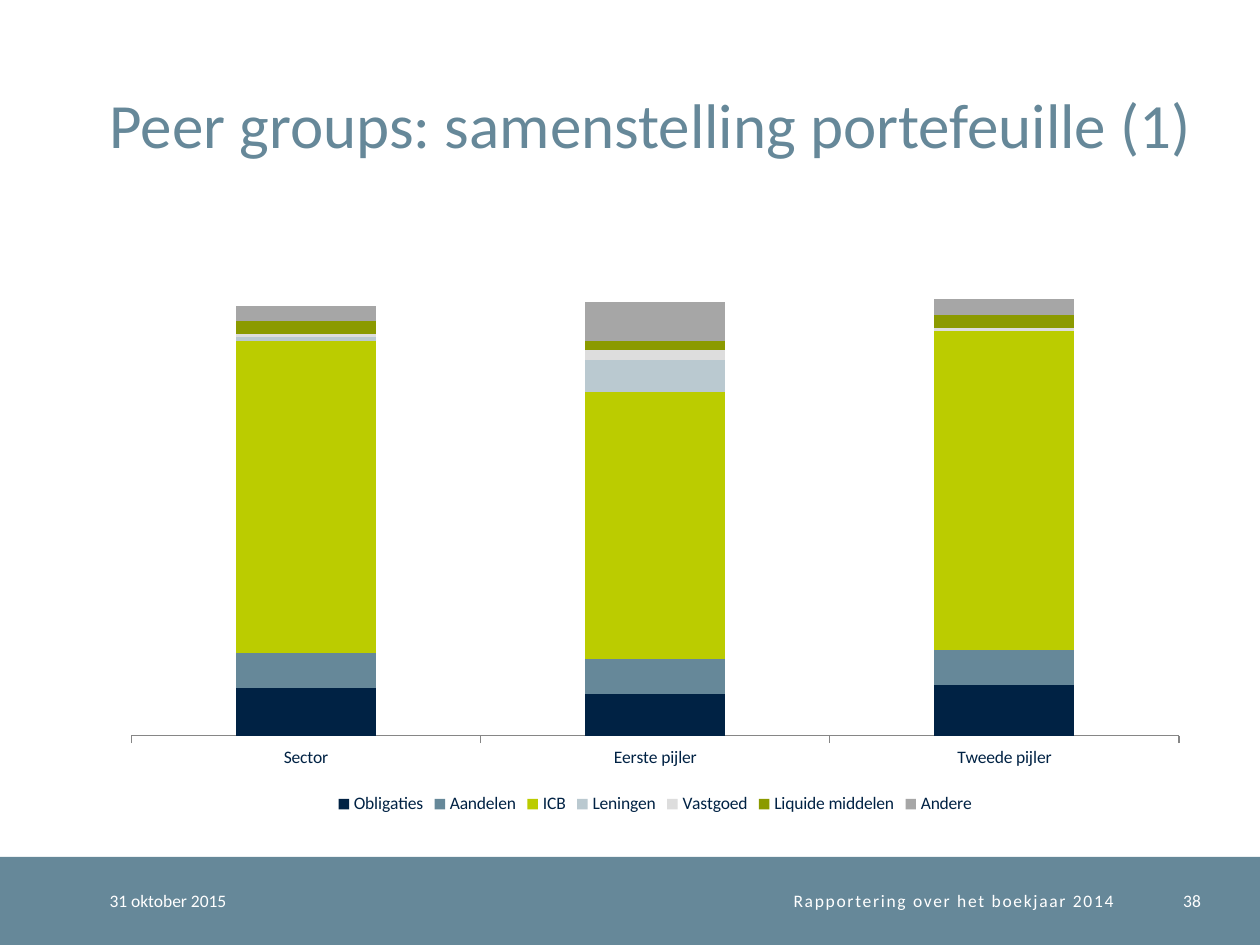
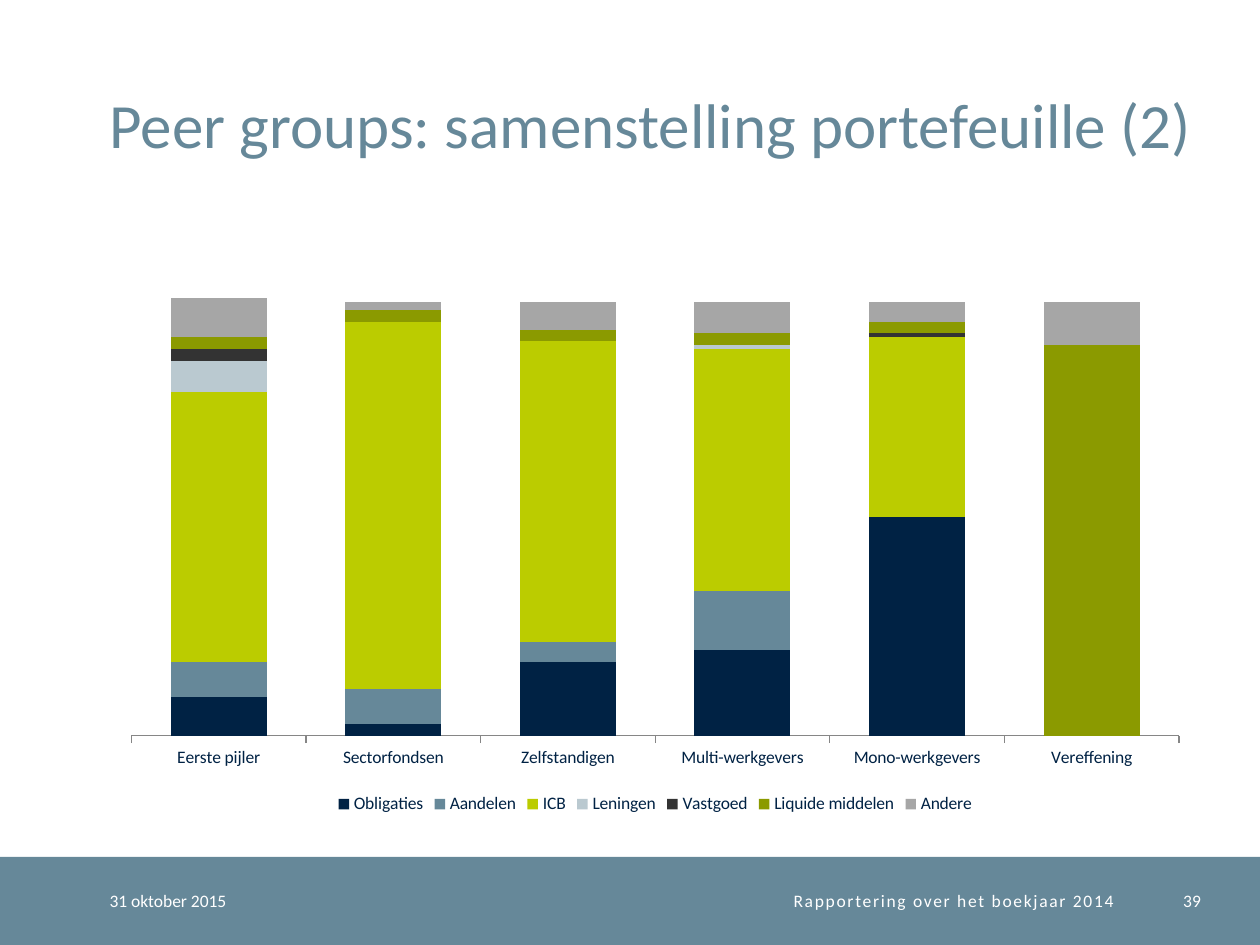
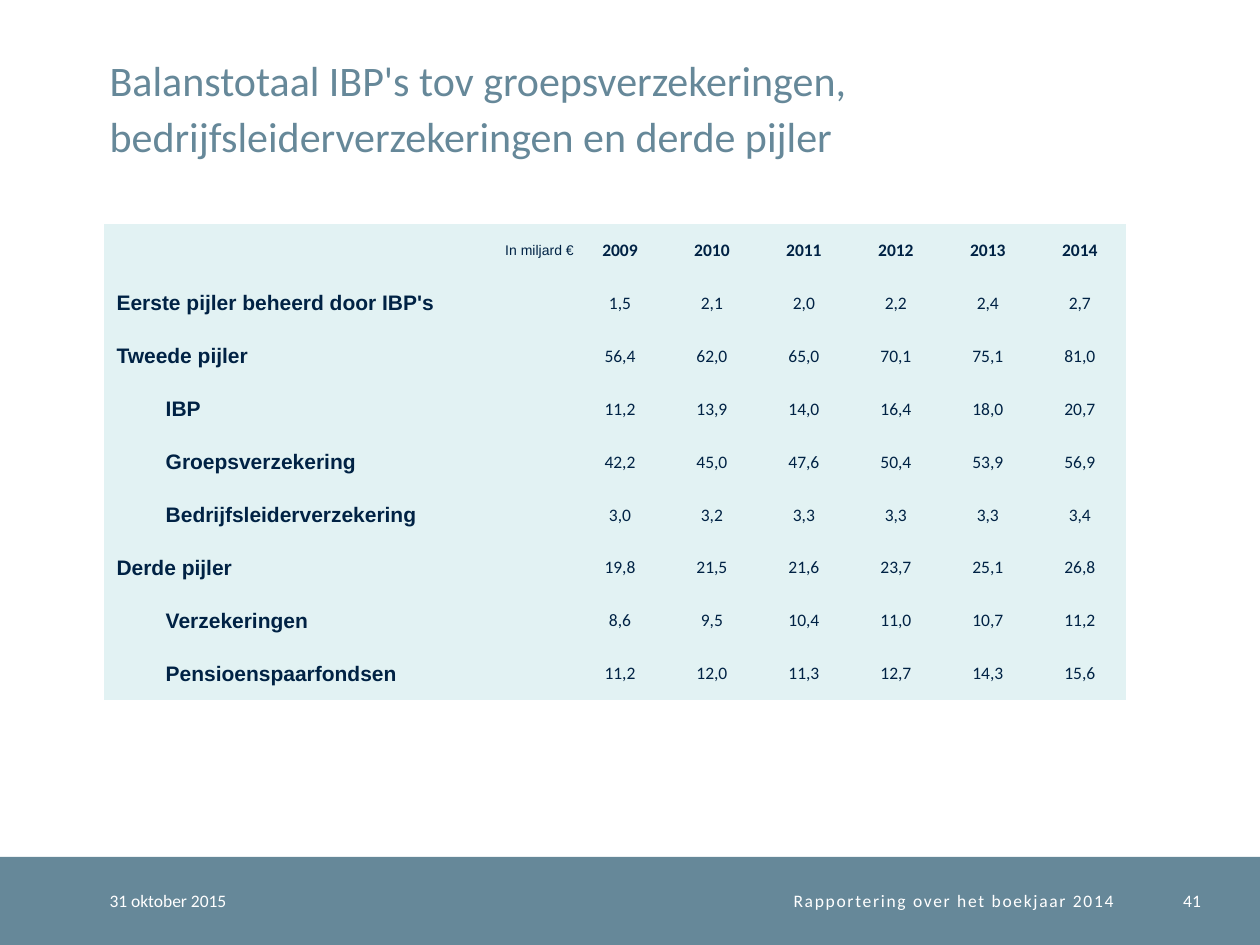
"""Build three slides on the pension fund portfolio and balance totals."""
import pptx
import pptx.chart.data
import pptx.dml.color
import pptx.enum.chart
import pptx.enum.shapes
import pptx.enum.text
import pptx.util

Pt = pptx.util.Pt
Align = pptx.enum.text.PP_ALIGN
Anchor = pptx.enum.text.MSO_ANCHOR

NAVY, SLATE, WHITE, PALE = "002244", "668899", "FFFFFF", "E2F2F3"
LEFT, BAND, DEEP = 62.64, 489.6, 50.4
NAMES = ["Obligaties", "Aandelen", "ICB", "Leningen", "Vastgoed",
         "Liquide middelen", "Andere"]
HUES = [NAVY, SLATE, "BBCC00", "BAC9D0", "DDDDDD", "8B9A00", "A6A6A6"]
PLAIN = "{2D5ABB26-0587-4C30-8999-92F81FD0307C}"

PEERS = {
    "Sector": [15, 11, 98, 1, 1, 4, 5],
    "Eerste pijler": [13, 11, 84, 10, 3, 3, 12],
    "Tweede pijler": [16, 11, 100, 0, 1, 4, 5],
}
FUNDS = {
    "Eerste pijler": [10, 9, 69, 8, 3, 3, 10],
    "Sectorfondsen": [3, 9, 94, 0, 0, 3, 2],
    "Zelfstandigen": [19, 5, 77, 0, 0, 3, 7],
    "Multi-werkgevers": [22, 15, 62, 1, 0, 3, 8],
    "Mono-werkgevers": [56, 0, 46, 0, 1, 3, 5],
    "Vereffening": [0, 0, 0, 0, 0, 100, 11],
}
YEARS = ["2009", "2010", "2011", "2012", "2013", "2014"]
TOTALS = [
    ("Eerste pijler beheerd door IBP's", 0, "1,5 2,1 2,0 2,2 2,4 2,7"),
    ("Tweede pijler", 0, "56,4 62,0 65,0 70,1 75,1 81,0"),
    ("IBP", 1, "11,2 13,9 14,0 16,4 18,0 20,7"),
    ("Groepsverzekering", 1, "42,2 45,0 47,6 50,4 53,9 56,9"),
    ("Bedrijfsleiderverzekering", 1, "3,0 3,2 3,3 3,3 3,3 3,4"),
    ("Derde pijler", 0, "19,8 21,5 21,6 23,7 25,1 26,8"),
    ("Verzekeringen", 1, "8,6 9,5 10,4 11,0 10,7 11,2"),
    ("Pensioenspaarfondsen", 1, "11,2 12,0 11,3 12,7 14,3 15,6"),
]


def tint(color):
    """Turn a hex string into a colour."""
    return pptx.dml.color.RGBColor.from_string(color)


def paint(item, color):
    """Give the item a solid fill."""
    item.fill.solid()
    item.fill.fore_color.rgb = tint(color)


def write(frame, text, size=10, color=NAVY, font="Calibri", bold=False,
          align=Align.LEFT, anchor=Anchor.MIDDLE, line=None, space=None,
          indent=0):
    """Put formatted text in a text frame without margins."""
    frame.margin_left = frame.margin_right = 0
    frame.margin_top = frame.margin_bottom = 0
    frame.vertical_anchor = anchor
    frame.word_wrap = True
    para = frame.paragraphs[0]
    para.alignment = align
    if line:
        para.line_spacing = Pt(line)
    if indent:
        para._p.get_or_add_pPr().set("marL", str(Pt(indent)))
    run = para.add_run()
    run.text = text
    run.font.name, run.font.size, run.font.bold = font, Pt(size), bold
    run.font.color.rgb = tint(color)
    if space:
        run.font._element.set("spc", str(space))


def add_band(layout, slide):
    """Draw the footer band and move it to the layout."""
    band = slide.shapes.add_shape(
        pptx.enum.shapes.MSO_SHAPE.RECTANGLE, 0, Pt(BAND), Pt(720), Pt(DEEP))
    band.shadow.inherit = False
    band.line.fill.background()
    paint(band, SLATE)
    layout.shapes.element.insert(2, band.element)


def add_foot(slide, left, width, text, **look):
    """Add one text in the footer band."""
    box = slide.shapes.add_textbox(Pt(left), Pt(BAND), Pt(width), Pt(DEEP))
    write(box.text_frame, text, color=WHITE, **look)


def add_slide(deck, title, page, size=36):
    """Add a slide with its title and footer texts."""
    slide = deck.slides.add_slide(deck.slide_layouts[5])
    head = slide.shapes.title
    head.left, head.top = Pt(LEFT), Pt(14.4)
    head.width, head.height = Pt(621.36), Pt(77.76)
    head.text_frame.auto_size = pptx.enum.text.MSO_AUTO_SIZE.NONE
    write(head.text_frame, title, size=size, color=SLATE,
          anchor=Anchor.BOTTOM, line=32)
    add_foot(slide, LEFT, 127.44, "31 oktober 2015")
    add_foot(slide, 190.08, 446.4, "Rapportering over het boekjaar 2014",
             align=Align.RIGHT, space=100)
    add_foot(slide, 650.88, 35.28, page, align=Align.RIGHT)
    return slide


def add_stack(slide, groups, gap, top, hues):
    """Add a stacked column chart of the portfolio per group."""
    kinds = pptx.enum.chart
    data = pptx.chart.data.CategoryChartData()
    data.categories = list(groups)
    for name, vals in zip(NAMES, zip(*groups.values())):
        data.add_series(name, vals)
    chart = slide.shapes.add_chart(
        kinds.XL_CHART_TYPE.COLUMN_STACKED, Pt(LEFT), Pt(116.64),
        Pt(623.52), Pt(351.36), data).chart
    chart.has_title = False
    chart.font.name, chart.font.size = "Calibri", Pt(10)
    chart.font.color.rgb = tint(NAVY)
    chart.has_legend = True
    chart.legend.position = kinds.XL_LEGEND_POSITION.BOTTOM
    chart.legend.include_in_layout = False
    plot = chart.plots[0]
    plot.gap_width, plot.overlap, plot.vary_by_categories = gap, 100, False
    for part, hue in zip(plot.series, hues):
        paint(part.format, hue)
    axis = chart.value_axis
    axis.minimum_scale, axis.maximum_scale = 0, top
    axis.has_major_gridlines = False
    axis.visible = False
    base = chart.category_axis
    base.major_tick_mark = kinds.XL_TICK_MARK.OUTSIDE
    base.format.line.color.rgb = tint("868686")
    base.format.line.width = Pt(0.75)


def add_totals(slide):
    """Add the table of balance totals per year."""
    rows, cols = len(TOTALS) + 1, len(YEARS) + 1
    wide, tall = 52.56, 30.24
    frame = slide.shapes.add_table(
        rows, cols, Pt(59.4), Pt(128.16), Pt(583.92), Pt(rows * tall))
    table = frame.table
    table.first_row = table.horz_banding = False
    table._tbl.tblPr.find(pptx.oxml.ns.qn("a:tableStyleId")).text = PLAIN
    for col in table.columns:
        col.width = Pt(wide)
    table.columns[0].width = Pt(268.56)
    for row in table.rows:
        row.height = Pt(tall)

    def put(row, col, text, **look):
        """Fill one cell."""
        cell = table.cell(row, col)
        paint(cell, PALE)
        write(cell.text_frame, text, **look)
        cell.margin_left = cell.margin_right = 0
        cell.margin_top = cell.margin_bottom = 0
        cell.vertical_anchor = Anchor.MIDDLE

    put(0, 0, "In miljard €", size=8, font="Arial", align=Align.RIGHT,
        indent=7.2)
    for col, year in enumerate(YEARS, 1):
        put(0, col, year, bold=True, align=Align.CENTER)
    for row, (label, level, vals) in enumerate(TOTALS, 1):
        put(row, 0, label, size=12, font="Arial", bold=True,
            indent=7.2 + 28.08 * level)
        for col, val in enumerate(vals.split(), 1):
            put(row, col, val, align=Align.CENTER)


def main():
    """Build and save the deck."""
    deck = pptx.Presentation()
    deck.slide_width, deck.slide_height = Pt(720), Pt(540)
    slide = add_slide(deck, "Peer groups: samenstelling portefeuille (1)", "38")
    add_band(deck.slide_layouts[5], slide)
    add_stack(slide, PEERS, 150, 163, HUES)
    slide = add_slide(deck, "Peer groups: samenstelling portefeuille (2)", "39")
    add_stack(slide, FUNDS, 82, 133, HUES[:4] + ["333333"] + HUES[5:])
    slide = add_slide(
        deck, "Balanstotaal IBP's tov groepsverzekeringen, "
        "bedrijfsleiderverzekeringen en derde pijler", "41", size=24)
    add_totals(slide)
    deck.save("out.pptx")


if __name__ == "__main__":
    main()
